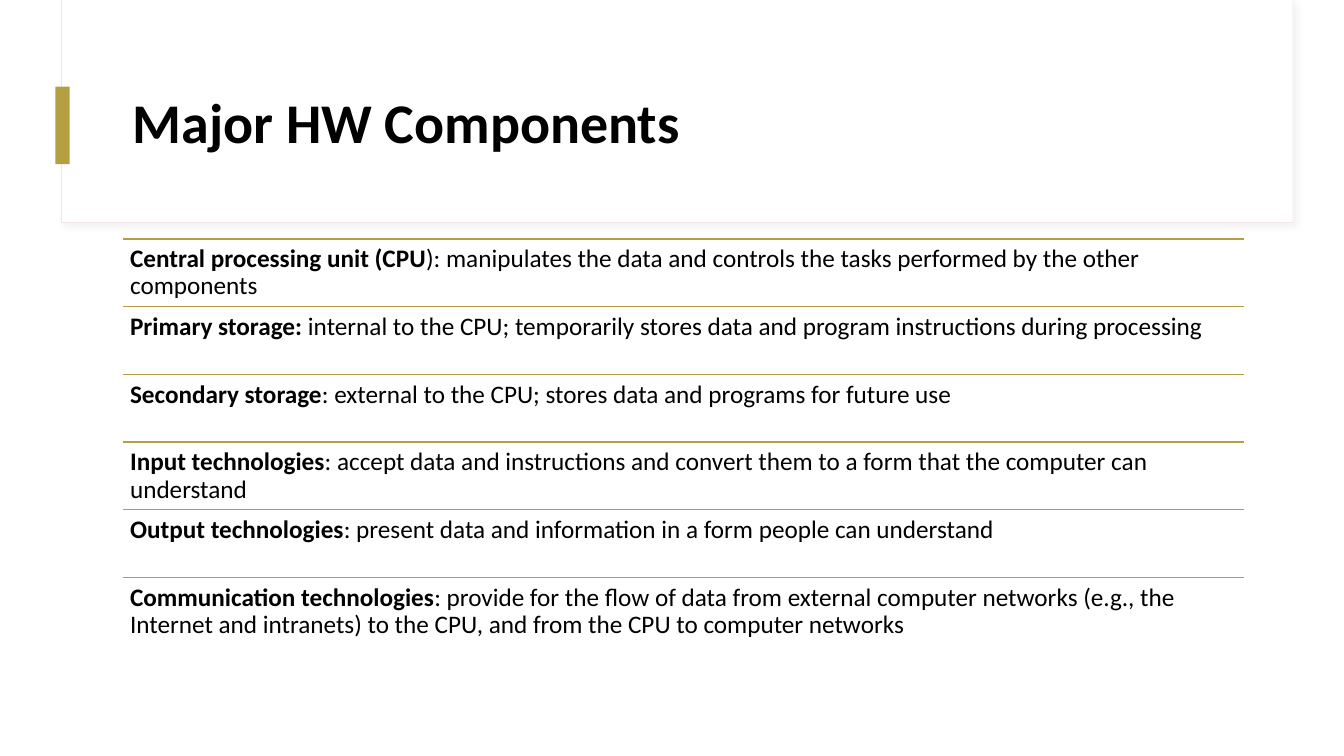
"""Build the slide that lists the major hardware components."""
from lxml import etree
from pptx import Presentation
from pptx import util as u
from pptx.dml.color import RGBColor
from pptx.enum import shapes, text
from pptx.oxml.ns import qn

COLORS = {"paper": "FFFFFF", "frame": "F0E6E5", "shadow": "D9D9D9", "gold": "B4A042", "ink": "000000"}
COMPONENTS = [
    ("Central processing unit (CPU",
     "): manipulates the data and controls the tasks performed by the other components"),
    ("Primary storage: ",
     "internal to the CPU; temporarily stores data and program instructions during processing"),
    ("Secondary storage", ": external to the CPU; stores data and programs for future use"),
    ("Input technologies",
     ": accept data and instructions and convert them to a form that the computer can understand"),
    ("Output technologies", ": present data and information in a form people can understand"),
    ("Communication technologies",
     ": provide for the flow of data from external computer networks (e.g., the Internet and "
     "intranets) to the CPU, and from the CPU to computer networks"),
]
LEFT, WIDTH = u.Inches(1.22), u.Inches(11.12)
LIST_TOP, LIST_HEIGHT = u.Inches(2.37), u.Inches(4.03)
ROW_HEIGHT = LIST_HEIGHT // len(COMPONENTS)

presentation = Presentation()
presentation.slide_width, presentation.slide_height = u.Inches(13.33), u.Inches(7.5)
slide = presentation.slides.add_slide(presentation.slide_layouts[6])


def add_rectangle(left, top, width, height, color):
    shape = slide.shapes.add_shape(shapes.MSO_SHAPE.RECTANGLE, *map(u.Inches, (left, top, width, height)))
    shape.shadow.inherit = False
    shape.fill.solid()
    shape.fill.fore_color.rgb = RGBColor.from_string(COLORS[color])
    shape.line.fill.background()
    return shape


def add_text(left, top, width, height, size, runs, margin, anchor):
    frame = slide.shapes.add_textbox(left, top, width, height).text_frame
    frame.word_wrap = True
    frame.vertical_anchor = anchor
    frame.margin_left = frame.margin_right = frame.margin_top = frame.margin_bottom = u.Inches(margin)
    paragraph = frame.paragraphs[0]
    paragraph.line_spacing = 0.9
    paragraph.font.size = u.Pt(size)
    paragraph.font.name = "Calibri"
    paragraph.font.color.rgb = RGBColor.from_string(COLORS["ink"])
    for words, bold in runs:
        run = paragraph.add_run()
        run.text = words
        run.font.bold = bold


panel = add_rectangle(0.61, 0, 12.21, 2.21, "paper")
panel.line.color.rgb = RGBColor.from_string(COLORS["frame"])
panel.line.width = u.Pt(0.75)
effects = panel._element.spPr.find(qn("a:effectLst"))
shadow = etree.SubElement(effects, qn("a:outerShdw"), blurRad=str(u.Pt(4)), dist=str(u.Pt(3)),
                          dir=str(45 * 60000), algn="tl", rotWithShape="0")
shadow_color = etree.SubElement(shadow, qn("a:srgbClr"), val=COLORS["shadow"])
etree.SubElement(shadow_color, qn("a:alpha"), val="30000")

add_rectangle(0.62, 0, 12.2, 2.2, "paper")
add_rectangle(0.55, 0.86, 0.14, 0.77, "gold")
add_text(LEFT, u.Inches(0.6), WIDTH, u.Inches(1.29), 40, [("Major HW Components", True)], 0.1,
         text.MSO_ANCHOR.MIDDLE)

for row, (term, meaning) in enumerate(COMPONENTS):
    top = LIST_TOP + row * ROW_HEIGHT
    rule = slide.shapes.add_connector(shapes.MSO_CONNECTOR.STRAIGHT, LEFT, top, LEFT + WIDTH, top)
    rule.line.color.rgb = RGBColor.from_string(COLORS["gold"])
    rule.line.width = u.Pt(1)
    etree.SubElement(rule._element.spPr, qn("a:effectLst"))
    add_text(LEFT, top, WIDTH, ROW_HEIGHT, 18, [(term, True), (meaning, False)], 0.07,
             text.MSO_ANCHOR.TOP)

presentation.save("out.pptx")
